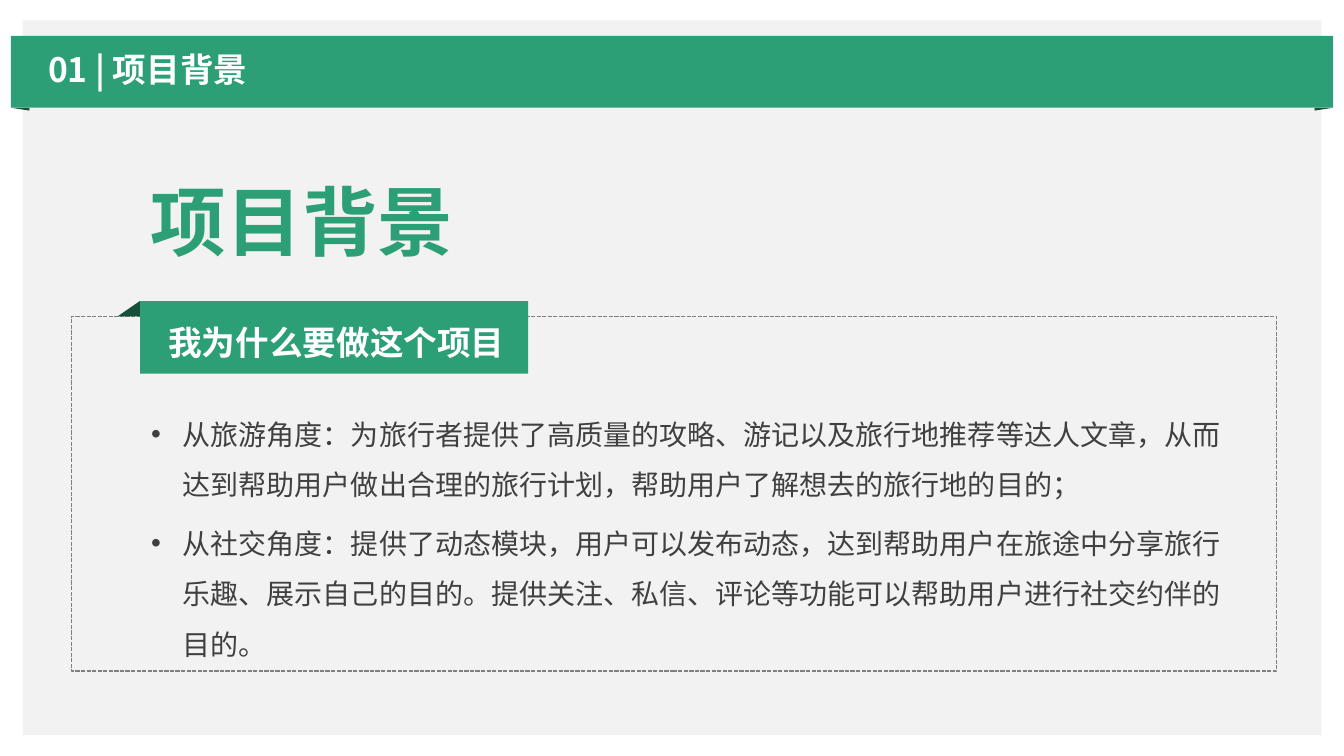
from dataclasses import dataclass

from lxml import etree
from pptx import Presentation
from pptx.dml.color import RGBColor
from pptx.enum import dml, shapes, text
from pptx.oxml import ns
from pptx.util import Pt


@dataclass(frozen=True)
class Theme:
    font: str = "Noto Sans CJK SC"
    green: str = "2C9F76"
    dark_green: str = "16503B"
    panel: str = "F2F2F2"
    body: str = "404040"
    border: str = "808080"
    white: str = "FFFFFF"
    heading_size: int = 54
    label_size: int = 24
    body_size: int = 20


THEME = Theme()


def place(shape, box):
    shape.left, shape.top, shape.width, shape.height = (Pt(value) for value in box)


def paint(shape, color):
    shape.shadow.inherit = False
    shape.fill.solid()
    shape.fill.fore_color.rgb = RGBColor.from_string(color)
    shape.line.fill.background()


def add_rectangle(slide, box, color):
    shape = slide.shapes.add_shape(
        shapes.MSO_SHAPE.RECTANGLE, *(Pt(value) for value in box))
    paint(shape, color)
    return shape


def add_fold(slide, corners):
    builder = slide.shapes.build_freeform(*corners[0], scale=Pt(1))
    builder.add_line_segments(corners[1:], close=True)
    paint(builder.convert_to_shape(), THEME.dark_green)


def format_frame(frame, anchor, wrap=True, left=7.2, top=3.6):
    frame.auto_size = text.MSO_AUTO_SIZE.NONE
    frame.word_wrap = wrap
    frame.vertical_anchor = anchor
    frame.margin_left, frame.margin_right = Pt(left), Pt(7.2)
    frame.margin_top, frame.margin_bottom = Pt(top), Pt(3.6)


def format_paragraph(paragraph, size, color, bold, spacing=1.0, before=0):
    paragraph.alignment = text.PP_ALIGN.LEFT
    paragraph.line_spacing = spacing
    paragraph.space_before = Pt(before)
    for run in paragraph.runs:
        font = run.font
        font.size, font.bold, font.name = Pt(size), bold, THEME.font
        font.color.rgb = RGBColor.from_string(color)
        east_asian = etree.SubElement(font._element, ns.qn("a:ea"))
        east_asian.set("typeface", THEME.font)


def add_header(slide, box):
    """Green band with folded ends and the slide title."""
    left, top, width, height = box
    right, bottom = left + width, top + height
    add_rectangle(slide, box, THEME.green)
    for outer, inner in ((left, left + 13), (right, right - 13)):
        add_fold(slide, [(outer, bottom), (inner, bottom), (inner, bottom + 2.2)])

    title = slide.shapes.title
    place(title, (left + 19.4, top + 7.2, width - 43.2, height - 14.4))
    title.text_frame.text = "01 | 项目背景"
    format_frame(title.text_frame, text.MSO_ANCHOR.MIDDLE)
    format_paragraph(title.text_frame.paragraphs[0], THEME.label_size,
                     THEME.white, True, spacing=0.9)
    # Bring the title in front of the band
    slide.shapes._spTree.append(title._element)


def add_heading(slide, box):
    heading = slide.shapes.add_textbox(*(Pt(value) for value in box))
    heading.text_frame.text = "项目背景"
    format_frame(heading.text_frame, text.MSO_ANCHOR.TOP, wrap=False)
    format_paragraph(heading.text_frame.paragraphs[0], THEME.heading_size,
                     THEME.green, True)


def add_reasons(slide, box, reasons):
    """Dashed frame with a folded tag and the bullet list."""
    left, top, width, height = box
    frame = add_rectangle(slide, box, THEME.panel)
    frame.fill.background()
    frame.line.color.rgb = RGBColor.from_string(THEME.border)
    frame.line.width = Pt(1)
    frame.line.dash_style = dml.MSO_LINE.SQUARE_DOT

    # Tag on the top edge
    tag_left, tag_top = left + 49, top - 10.8
    tag = add_rectangle(slide, (tag_left, tag_top, 277.2, 51.8), THEME.green)
    tag.text_frame.text = "我为什么要做这个项目"
    format_frame(tag.text_frame, text.MSO_ANCHOR.TOP, left=20.2, top=6.5)
    format_paragraph(tag.text_frame.paragraphs[0], THEME.label_size,
                     THEME.white, True, spacing=1.3)
    add_fold(slide, [(tag_left - 16.6, top), (tag_left, tag_top), (tag_left, top)])

    # Bullet list
    body = slide.placeholders[1]
    place(body, (left + 49.7, top + 56.6, width - 72, height - 58.3))
    body.text_frame.text = "\n".join(reasons)
    format_frame(body.text_frame, text.MSO_ANCHOR.TOP)
    for index, paragraph in enumerate(body.text_frame.paragraphs):
        properties = paragraph._element.get_or_add_pPr()
        properties.set("marL", str(Pt(22.5)))
        properties.set("indent", str(-Pt(22.5)))
        etree.SubElement(properties, ns.qn("a:buFont")).set("typeface", "Arial")
        etree.SubElement(properties, ns.qn("a:buChar")).set("char", "•")
        format_paragraph(paragraph, THEME.body_size, THEME.body, False,
                         spacing=1.5, before=6 if index else 0)
    slide.shapes._spTree.append(body._element)


def main():
    presentation = Presentation()
    presentation.slide_width, presentation.slide_height = Pt(960), Pt(540)
    slide = presentation.slides.add_slide(presentation.slide_layouts[1])

    add_rectangle(slide, (16.4, 14.6, 927.4, 510.5), THEME.panel)
    add_header(slide, (7.7, 25.7, 944.6, 51.1))
    add_heading(slide, (100.8, 121.7, 232.6, 72.7))
    add_reasons(slide, (51.1, 225.9, 860.8, 253.4), [
        "从旅游角度：为旅行者提供了高质量的攻略、游记以及旅行地推荐等达人文章，"
        "从而达到帮助用户做出合理的旅行计划，帮助用户了解想去的旅行地的目的；",
        "从社交角度：提供了动态模块，用户可以发布动态，达到帮助用户在旅途中分享旅行乐趣、"
        "展示自己的目的。提供关注、私信、评论等功能可以帮助用户进行社交约伴的目的。",
    ])
    presentation.save("out.pptx")


if __name__ == "__main__":
    main()
